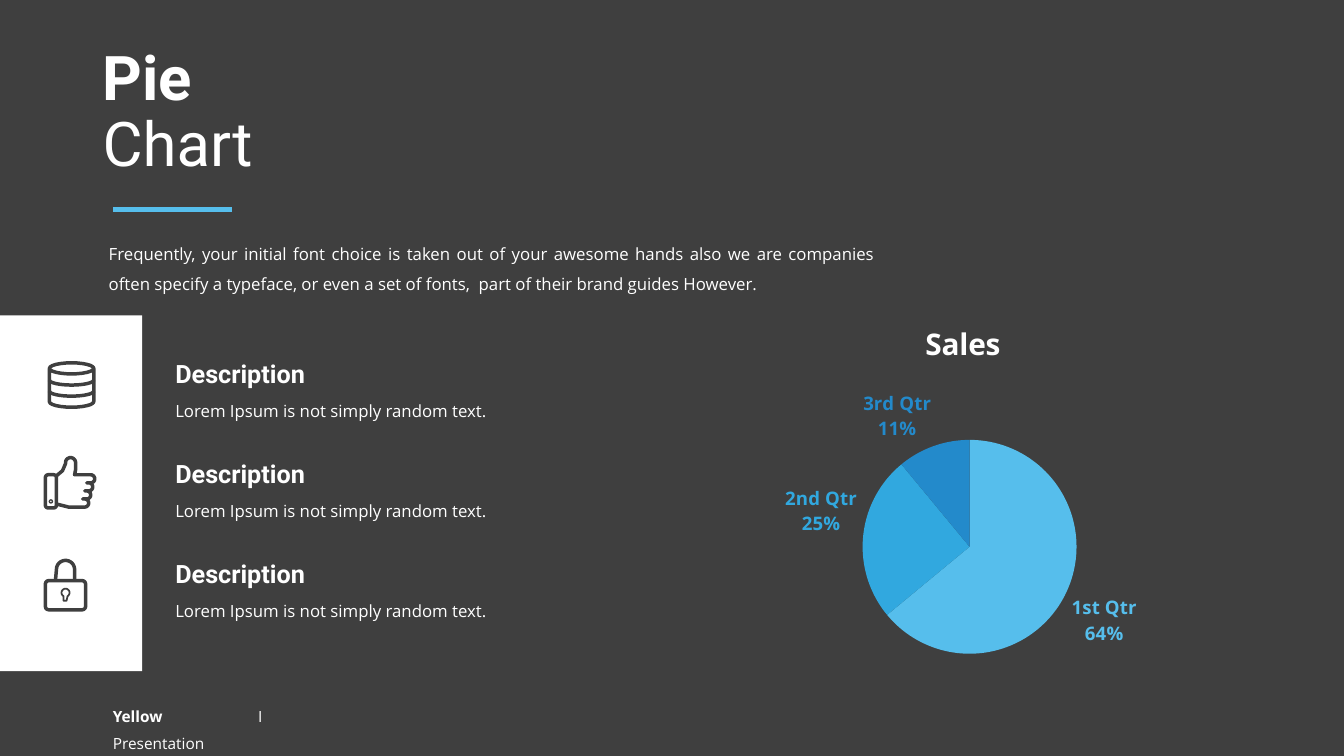
import math
import pptx
import pptx.util
import pptx.chart.data
import pptx.enum.chart
import pptx.enum.shapes
import pptx.enum.text
from pptx.dml.color import RGBColor
from lxml import etree

WHITE = RGBColor(0xFF, 0xFF, 0xFF)
CHARCOAL = RGBColor(0x3F, 0x3F, 0x3F)
SKY = RGBColor(0x56, 0xBE, 0xEC)
AZURE = RGBColor(0x31, 0xA8, 0xDF)
OCEAN = RGBColor(0x23, 0x8A, 0xCB)
HEADING, BODY = "Roboto", "Open Sans"
PRESET = pptx.enum.shapes.MSO_SHAPE

# Content
TITLE = ("Pie", "Chart")
INTRO = ("Frequently, your initial font choice is taken out of your awesome hands also "
         "we are companies often specify a typeface, or even a set of fonts,  part of "
         "their brand guides However.")
DESCRIPTIONS = [("Description", "Lorem Ipsum is not simply random text.")] * 3
FOOTER = (("Yellow ", True), ("I Presentation", False))
SALES = [("1st Qtr", 64, SKY), ("2nd Qtr", 25, AZURE), ("3rd Qtr", 11, OCEAN)]

# Page
deck = pptx.Presentation()
deck.slide_width, deck.slide_height = pptx.util.Inches(13.33), pptx.util.Inches(7.5)
slide = deck.slides.add_slide(deck.slide_layouts[6])
slide.background.fill.solid()
slide.background.fill.fore_color.rgb = CHARCOAL


def inches(*lengths):
    return [pptx.util.Inches(length) for length in lengths]


def style(font, size, color, bold=False, face=BODY):
    font.name, font.size, font.bold = face, pptx.util.Pt(size), bold
    font.color.rgb = color


def write(box, runs, size, face=BODY, spacing=1.0, justify=False, wrap=True):
    """Add a text box holding (text, bold) runs; return its frame."""
    frame = slide.shapes.add_textbox(*inches(*box)).text_frame
    frame.word_wrap = wrap
    paragraph = frame.paragraphs[0]
    paragraph.line_spacing = spacing
    if justify:
        paragraph.alignment = pptx.enum.text.PP_ALIGN.JUSTIFY
    for text, bold in runs:
        if text == "\n":
            paragraph.add_line_break()
            continue
        run = paragraph.add_run()
        run.text = text
        style(run.font, size, WHITE, bold, face)
    return frame


def outline(shape, weight=2.5):
    shape.shadow.inherit = False
    shape.fill.background()
    shape.line.color.rgb, shape.line.width = CHARCOAL, pptx.util.Pt(weight)


def stroke(points, close=False, weight=2.5):
    start, *rest = [inches(*point) for point in points]
    builder = slide.shapes.build_freeform(*start)
    builder.add_line_segments(rest, close=close)
    outline(builder.convert_to_shape(), weight)


def preset(kind, box, adjust=None, weight=2.5):
    shape = slide.shapes.add_shape(kind, *inches(*box))
    if adjust is not None:
        shape.adjustments[0] = adjust
    outline(shape, weight)


def arc(x, y, rx, ry, first, last, steps=16):
    """Points on an ellipse between two angles in degrees, clockwise from the right."""
    angles = [math.radians(first + (last - first) * i / steps) for i in range(steps + 1)]
    return [(x + rx * math.cos(a), y + ry * math.sin(a)) for a in angles]


# Heading, rule, introduction and footer
rule = slide.shapes.add_connector(pptx.enum.shapes.MSO_CONNECTOR.STRAIGHT,
                                  *inches(1.12, 2.08, 2.3, 2.08))
rule.line.color.rgb, rule.line.width = SKY, pptx.util.Pt(3.5)
etree.SubElement(rule._element.spPr, pptx.oxml.ns.qn("a:effectLst"))
write((1.02, 6.87, 1.68, 0.34), FOOTER, 11, spacing=1.5, justify=True)
heading = write((0.92, 0.4, 11.5, 1.45), [(TITLE[0], True), ("\n", True), (TITLE[1], False)],
                44, HEADING, 0.9)
heading.vertical_anchor = pptx.enum.text.MSO_ANCHOR.MIDDLE
intro = write((0.98, 2.27, 7.8, 0.74), [(INTRO, False)], 12, spacing=1.5, justify=True)
intro.paragraphs[0].space_before = pptx.util.Pt(10)

# Icon panel and descriptions
panel = slide.shapes.add_shape(PRESET.RECTANGLE, *inches(0, 3.13, 1.41, 3.53))
panel.shadow.inherit = False
panel.fill.solid()
panel.fill.fore_color.rgb = WHITE
panel.line.fill.background()
for row, (name, detail) in enumerate(DESCRIPTIONS):
    top = 3.51 + row * 0.99
    write((1.64, top, 1.6, 0.4), [(name, True)], 18, HEADING, wrap=False)
    write((1.64, top + 0.32, 3.33, 0.38), [(detail, False)], 12, spacing=1.5)

# Database icon: a can with two rings
preset(PRESET.CAN, (0.49, 3.6, 0.44, 0.44), 0.25)
for ring in range(2):
    stroke(arc(0.71, 3.77 + ring * 0.11, 0.22, 0.05, 180, 0))

# Thumb icon: cuff, button, then a hand with four fingers
preset(PRESET.ROUNDED_RECTANGLE, (0.45, 4.71, 0.11, 0.33), 0.25)
preset(PRESET.OVAL, (0.49, 4.96, 0.03, 0.03), weight=1)
hand = [(0.56, 4.72), (0.62, 4.67), (0.65, 4.6)]
hand += arc(0.7, 4.59, 0.05, 0.05, 200, 360) + [(0.75, 4.66), (0.74, 4.71)]
for finger in range(4):
    x, y = 0.9 - finger * 0.02, 4.75 + finger * 0.08
    hand += arc(x, y, 0.04, 0.04, -90, 90)
    if finger < 3:
        hand += [(x - 0.04, y + 0.04), (x, y + 0.04)]
stroke(hand + [(0.68, 5.03), (0.56, 5.0)])

# Padlock icon: body, shackle and keyhole
preset(PRESET.ROUNDED_RECTANGLE, (0.45, 5.76, 0.4, 0.29), 0.12)
stroke([(0.55, 5.76)] + arc(0.65, 5.65, 0.09, 0.09, 180, 360) + [(0.74, 5.76)])
stroke(arc(0.65, 5.88, 0.04, 0.04, 120, 420) + [(0.66, 5.96), (0.63, 5.96)], True, 1.25)

# Sales pie
quarters = pptx.chart.data.CategoryChartData()
quarters.categories = [name for name, _, _ in SALES]
quarters.add_series("Sales", [share for _, share, _ in SALES])
pie = slide.shapes.add_chart(pptx.enum.chart.XL_CHART_TYPE.PIE,
                             *inches(6.2, 3, 6.7, 3.79), quarters).chart
style(pie.font, 10, WHITE)
pie.has_legend = False
pie.has_title = True
caption = pie.chart_title.text_frame.paragraphs[0].add_run()
caption.text = "Sales"
style(caption.font, 21.3, WHITE, True)
pie.plots[0].vary_by_categories = True


def chart_tag(name, **attributes):
    return etree.Element(pptx.oxml.ns.qn("c:" + name), **attributes)


series = pie.plots[0].series[0]
for index, (_, _, color) in enumerate(SALES):
    quarter = series.points[index]
    quarter.format.fill.solid()
    quarter.format.fill.fore_color.rgb = color
    quarter.format.line.fill.background()
    style(quarter.data_label.font, 13.3, color, True)
    quarter.data_label.position = pptx.enum.chart.XL_LABEL_POSITION.OUTSIDE_END

# Labels show category and percentage on two lines
for label in series._element.iter(pptx.oxml.ns.qn("c:dLbl")):
    for flag, shown in (("showVal", "0"), ("showCatName", "1"), ("showPercent", "1")):
        label.find(pptx.oxml.ns.qn("c:" + flag)).set("val", shown)
    label.insert(1, chart_tag("numFmt", formatCode="0%", sourceLinked="0"))
    separator = chart_tag("separator")
    separator.text = "\n"
    label.append(separator)

# Pie placement within the chart, as shares of its size
plot_area = pie._chartSpace.chart.plotArea
for old in plot_area.findall(pptx.oxml.ns.qn("c:layout")):
    plot_area.remove(old)
layout = chart_tag("layout")
manual = etree.SubElement(layout, pptx.oxml.ns.qn("c:manualLayout"))
for tag, value in (("layoutTarget", "inner"), ("xMode", "edge"), ("yMode", "edge"),
                   ("x", "0.35"), ("y", "0.36"), ("w", "0.32"), ("h", "0.56")):
    manual.append(chart_tag(tag, val=value))
plot_area.insert(0, layout)

deck.save("out.pptx")
